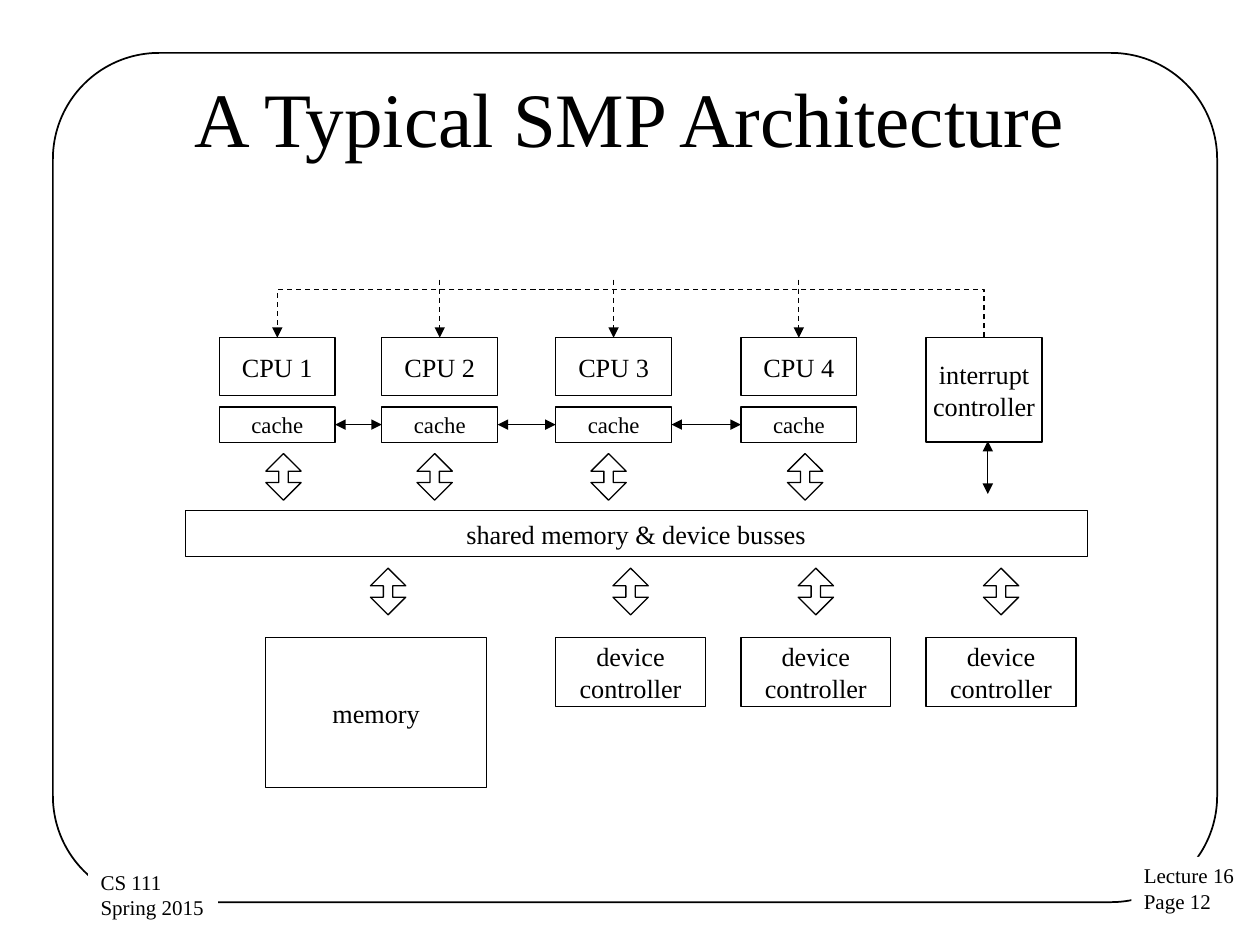
from lxml import etree
from pptx import Presentation
from pptx import util as u
from pptx.dml.color import RGBColor
from pptx.enum import dml, shapes, text
from pptx.oxml.ns import qn

BLACK = RGBColor(0, 0, 0)
WHITE = RGBColor(255, 255, 255)
FONT = "Times New Roman"

TITLE = "A Typical SMP Architecture"
FOOTERS = [
    (("Lecture 16", "Page 12"), (8.98, 6.8, 0.93, 0.51)),
    (("CS 111", "Spring 2015 "), (0.7, 6.85, 1.03, 0.51)),
]
CPUS = [("CPU 1", 1.74), ("CPU 2", 3.03), ("CPU 3", 4.41), ("CPU 4", 5.88)]
CACHE = "cache"
INTERRUPT = ("interrupt", "controller")
BUS = "shared memory & device busses"
MEMORY = "memory"
DEVICE = ("device", "controller")
DEVICE_LEFTS = [4.41, 5.88, 7.35]

CPU_WIDTH, CPU_TOP = 0.92, 2.68
CACHE_TOP, CACHE_HEIGHT = 3.23, 0.28
INTERRUPT_LEFT = 7.35
SIGNAL_TOP = 2.22
DEVICE_WIDTH, DEVICE_TOP = 1.19, 5.06
ARROW_WIDTH, ARROW_HEIGHT = 0.28, 0.37
ARROWS = {3.6: [2.11, 3.31, 4.69, 6.25],
          4.51: [2.94] + [left + (DEVICE_WIDTH - ARROW_WIDTH) / 2 for left in DEVICE_LEFTS]}

BOX_FRAME = {"margin_left": u.Inches(0.11), "margin_right": u.Inches(0.11),
             "margin_top": u.Inches(0.06), "margin_bottom": u.Inches(0.06),
             "vertical_anchor": text.MSO_ANCHOR.MIDDLE, "word_wrap": False}
FOOTER_FRAME = {"vertical_anchor": text.MSO_ANCHOR.TOP, "word_wrap": False}
TITLE_FRAME = {"vertical_anchor": text.MSO_ANCHOR.MIDDLE, "word_wrap": True}


def set_all(target, values):
    """Set each named attribute on the target."""
    for name, value in values.items():
        setattr(target, name, value)


def write(shape, lines, size, frame_format, align=text.PP_ALIGN.CENTER):
    """Fill the shape with one paragraph for each line."""
    frame = shape.text_frame
    set_all(frame, frame_format)
    for index, line in enumerate(lines):
        paragraph = frame.paragraphs[0] if index == 0 else frame.add_paragraph()
        paragraph.alignment = align
        run = paragraph.add_run()
        run.text = line
        set_all(run.font, {"name": FONT, "size": u.Pt(size)})
        run.font.color.rgb = BLACK


def add_outline(slide, kind, box, width=0.75):
    """Add an unfilled preset shape with a black outline."""
    shape = slide.shapes.add_shape(kind, *map(u.Inches, box))
    shape.shadow.inherit = False
    shape.fill.background()
    shape.line.color.rgb = BLACK
    shape.line.width = u.Pt(width)
    return shape


def add_box(slide, box, lines, size=15):
    """Add a labelled component of the diagram."""
    shape = add_outline(slide, shapes.MSO_SHAPE.RECTANGLE, box)
    write(shape, lines, size, BOX_FRAME)


def style_connector(connector, ends, dashed=False):
    """Make a connector black, with triangles at the named ends."""
    connector.line.color.rgb = BLACK
    connector.line.width = u.Pt(0.75)
    if dashed:
        connector.line.dash_style = dml.MSO_LINE.DASH
    properties = connector._element.spPr
    line = properties.find(qn("a:ln"))
    for end in ends:
        etree.SubElement(line, qn("a:" + end), type="triangle")
    etree.SubElement(properties, qn("a:effectLst"))


def add_line(slide, start, end, ends=("headEnd", "tailEnd"), dashed=False):
    """Add a straight arrow between two points."""
    connector = slide.shapes.add_connector(
        shapes.MSO_CONNECTOR.STRAIGHT, *map(u.Inches, start + end))
    style_connector(connector, ends, dashed)


def add_interrupt_bracket(slide, start_x, end_x, base, rise):
    """Add the dashed elbow that climbs, crosses and drops to the first CPU."""
    middle, half = (start_x + end_x) / 2, (start_x - end_x) / 2
    thin = u.Emu(1588)
    left = u.Inches(middle)
    connector = slide.shapes.add_connector(
        shapes.MSO_CONNECTOR.ELBOW, left + thin, u.Inches(base + half),
        left, u.Inches(base - half))
    properties = connector._element.spPr
    properties.find(qn("a:xfrm")).set("rot", str(270 * 60000))
    guides = properties.find(qn("a:prstGeom")).get_or_add_avLst()
    bend = round(-u.Inches(rise) / thin * 100000)
    etree.SubElement(guides, qn("a:gd"), name="adj1", fmla=f"val {bend}")
    style_connector(connector, ["tailEnd"], dashed=True)


def add_page_parts(slide):
    """Add the rounded frame, the footers and the title."""
    frame = add_outline(slide, shapes.MSO_SHAPE.ROUNDED_RECTANGLE, (0.42, 0.42, 9.24, 6.74), 1)
    frame.adjustments[0] = 0.125
    for lines, box in FOOTERS:
        footer = add_outline(slide, shapes.MSO_SHAPE.RECTANGLE, box)
        footer.fill.solid()
        footer.fill.fore_color.rgb = WHITE
        footer.line.fill.background()
        write(footer, lines, 12, FOOTER_FRAME, text.PP_ALIGN.LEFT)
    title = slide.shapes.add_textbox(*map(u.Inches, (0.5, 0.3, 9, 1.25)))
    write(title, [TITLE], 44, TITLE_FRAME)


def add_diagram(slide):
    """Add the components, then the arrows that join them."""
    add_box(slide, (1.47, 4.05, 7.16, 0.37), [BUS])
    add_box(slide, (2.11, DEVICE_TOP, 1.75, 1.19), [MEMORY])
    for left in DEVICE_LEFTS:
        add_box(slide, (left, DEVICE_TOP, DEVICE_WIDTH, 0.55), DEVICE)
    for name, left in CPUS:
        add_box(slide, (left, CPU_TOP, CPU_WIDTH, 0.46), [name])
        add_box(slide, (left, CACHE_TOP, CPU_WIDTH, CACHE_HEIGHT), [CACHE], 13)
    add_box(slide, (INTERRUPT_LEFT, CPU_TOP, CPU_WIDTH, 0.83), INTERRUPT)

    lefts = [left for _, left in CPUS]
    cache_middle = CACHE_TOP + CACHE_HEIGHT / 2
    for left, following in zip(lefts, lefts[1:]):
        add_line(slide, (left + CPU_WIDTH, cache_middle), (following, cache_middle))
    for top, arrow_lefts in ARROWS.items():
        for left in arrow_lefts:
            arrow = add_outline(slide, shapes.MSO_SHAPE.UP_DOWN_ARROW,
                                (left, top, ARROW_WIDTH, ARROW_HEIGHT))
            arrow.adjustments[0] = 0.5
            arrow.adjustments[1] = 0.267
    add_line(slide, (7.84, 3.92), (7.84, 3.5))

    centres = [left + CPU_WIDTH / 2 for left in lefts]
    add_interrupt_bracket(slide, INTERRUPT_LEFT + CPU_WIDTH / 2, centres[0], CPU_TOP, 0.42)
    for centre in centres[1:]:
        add_line(slide, (centre, SIGNAL_TOP), (centre, CPU_TOP), ["tailEnd"], dashed=True)


presentation = Presentation()
presentation.slide_width = u.Inches(10)
presentation.slide_height = u.Inches(7.5)
slide = presentation.slides.add_slide(presentation.slide_layouts[6])
add_page_parts(slide)
add_diagram(slide)
presentation.save("out.pptx")
